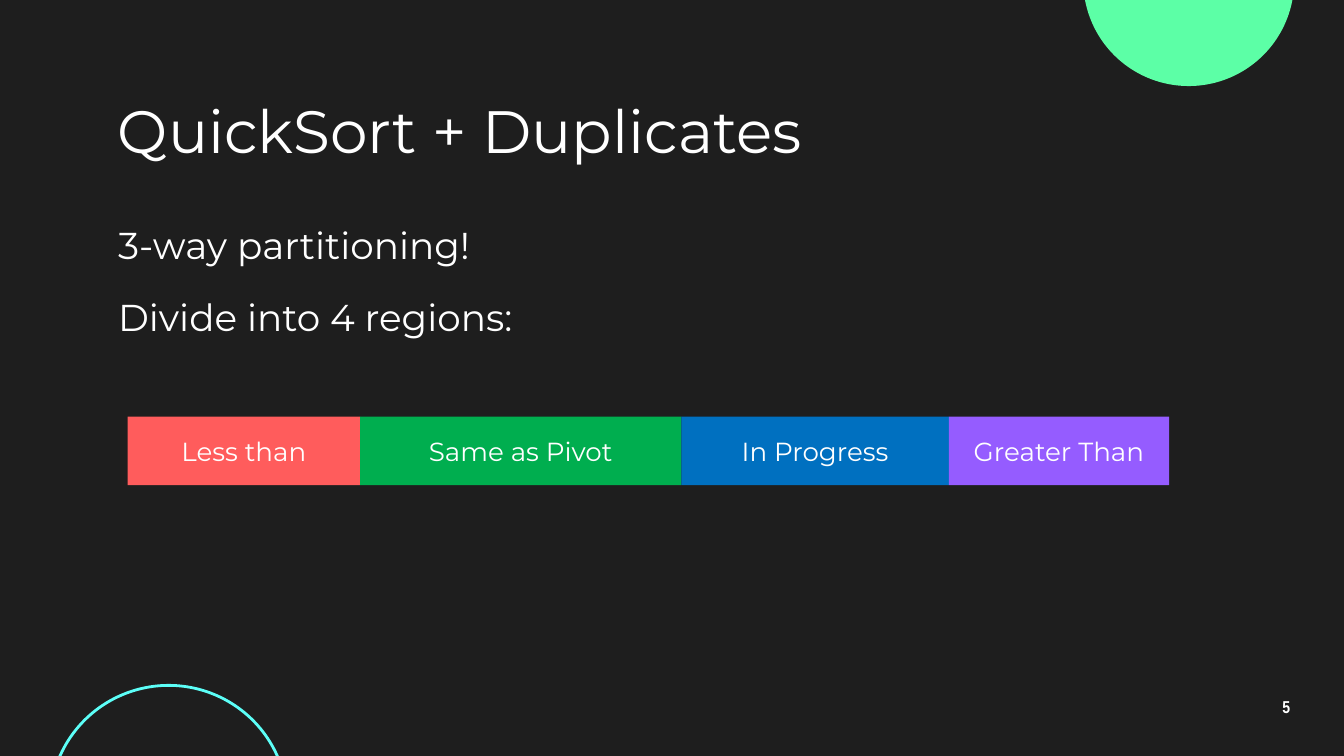
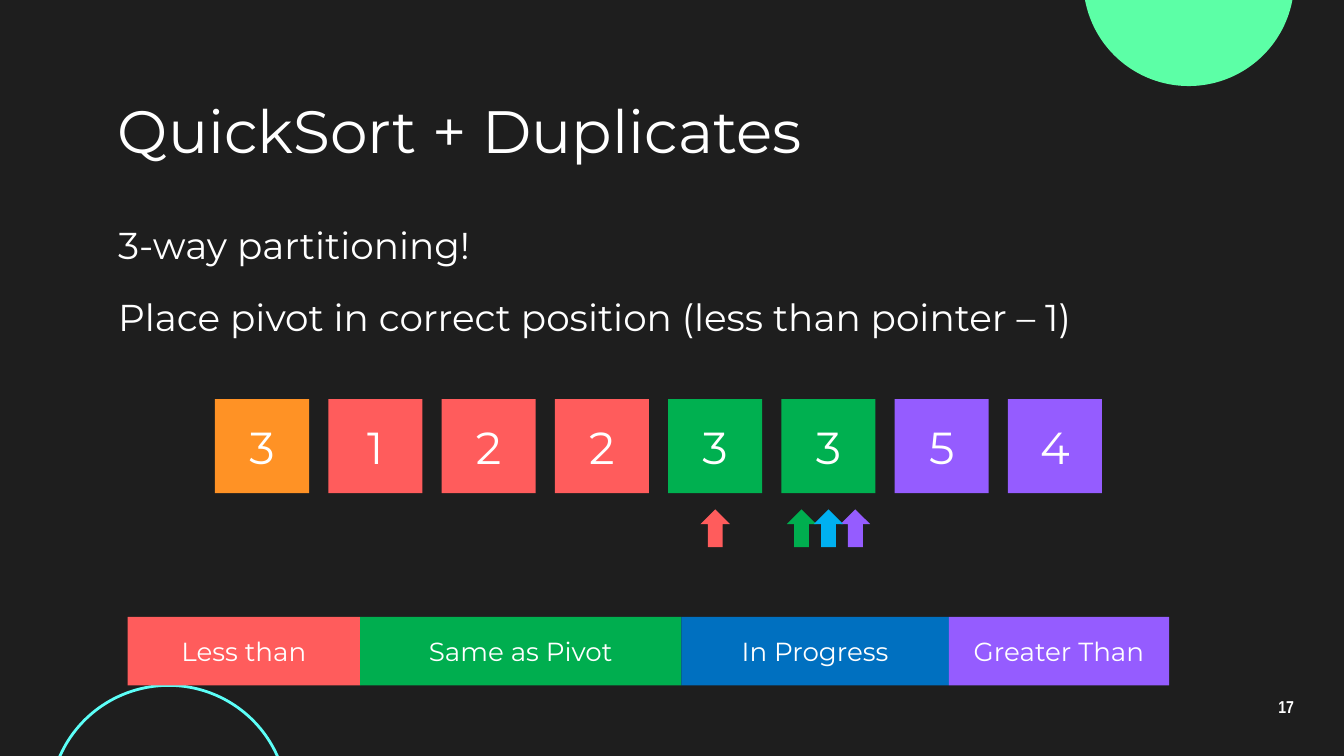
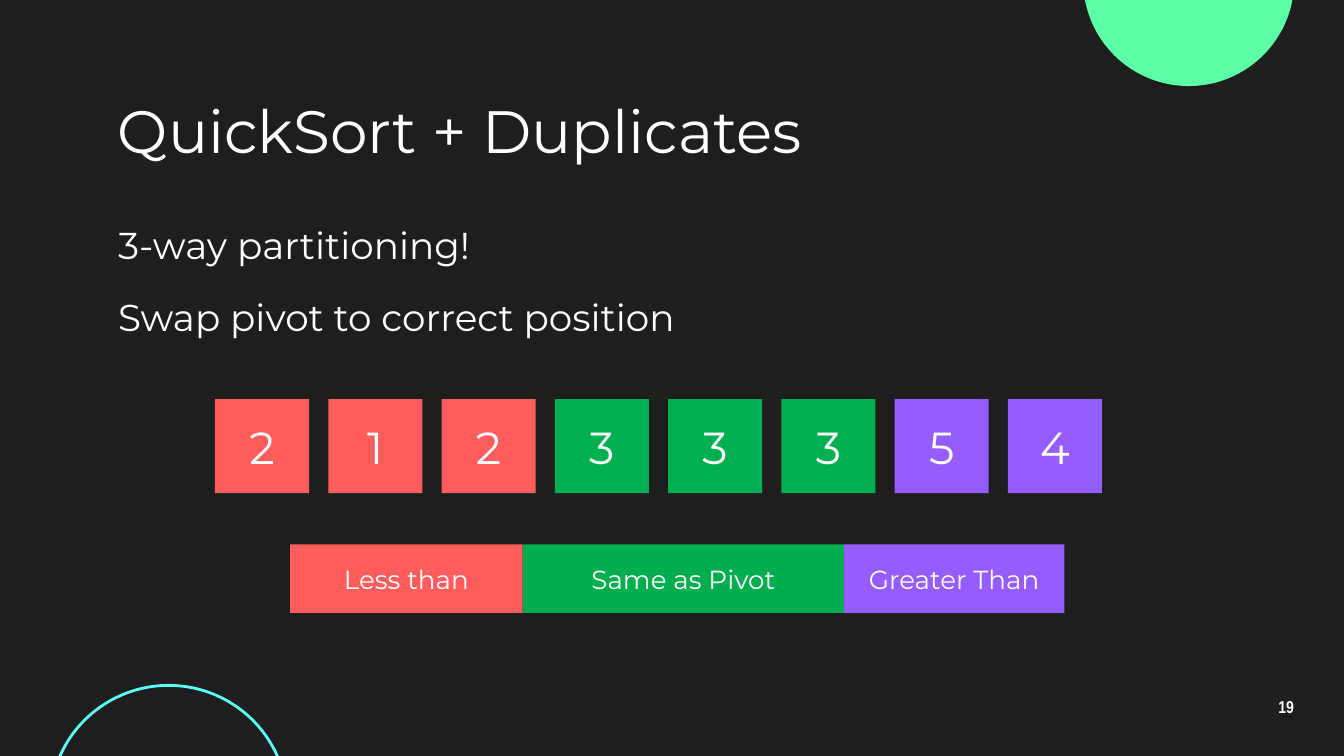
from pptx import Presentation
from pptx.dml.color import RGBColor
from pptx.enum.shapes import MSO_SHAPE
from pptx.enum.text import MSO_ANCHOR, PP_ALIGN
from pptx.util import Inches, Pt

RECTANGLE, OVAL, UP_ARROW = MSO_SHAPE.RECTANGLE, MSO_SHAPE.OVAL, MSO_SHAPE.UP_ARROW
TOP, MIDDLE = MSO_ANCHOR.TOP, MSO_ANCHOR.MIDDLE
LEFT, CENTER = PP_ALIGN.LEFT, PP_ALIGN.CENTER

# Colours
DARK = RGBColor(0x1E, 0x1E, 0x1E)
WHITE = RGBColor(0xFF, 0xFF, 0xFF)
MINT = RGBColor(0x5C, 0xFF, 0xA6)
CYAN = RGBColor(0x5C, 0xFF, 0xF8)
ORANGE = RGBColor(0xFF, 0x92, 0x25)
RED = RGBColor(0xFF, 0x5C, 0x5C)
GREEN = RGBColor(0x00, 0xAE, 0x4F)
CELL_GREEN = RGBColor(0x00, 0xB0, 0x50)
BLUE = RGBColor(0x00, 0x70, 0xC0)
LIGHT_BLUE = RGBColor(0x00, 0xB0, 0xF0)
PURPLE = RGBColor(0x95, 0x5C, 0xFF)

# Text formats
BODY_FONT = {"name": "Montserrat", "color": WHITE}
TITLE_STYLE = {**BODY_FONT, "size": Pt(32)}
LEAD_STYLE = {**BODY_FONT, "size": Pt(20)}
CELL_STYLE = {**BODY_FONT, "size": Pt(24)}
REGION_STYLE = {**BODY_FONT, "size": Pt(14)}
NUMBER_STYLE = {"name": "Arial Narrow", "color": WHITE, "size": Pt(9.2), "bold": True}

# Content
TITLE = "QuickSort + Duplicates"
LEAD = "3-way partitioning!"
LESS = ("Less than", 1.73, RED)
SAME = ("Same as Pivot", 2.39, GREEN)
IN_PROGRESS = ("In Progress", 1.99, BLUE)
GREATER = ("Greater Than", 1.64, PURPLE)
ALL_REGIONS = [LESS, SAME, IN_PROGRESS, GREATER]

SLIDES = [
    {
        "number": "5",
        "step": "Divide into 4 regions:",
        "regions": ALL_REGIONS,
        "regions_at": (0.95, 3.1),
    },
    {
        "number": "17",
        "step": "Place pivot in correct position (less than pointer – 1)",
        "step_width": 9.29,
        "regions": ALL_REGIONS,
        "regions_at": (0.95, 4.59),
        "cells": [("3", ORANGE), ("1", RED), ("2", RED), ("2", RED),
                  ("3", CELL_GREEN), ("3", CELL_GREEN), ("5", PURPLE), ("4", PURPLE)],
        # cell index, steps from the middle of the cell, colour
        "pointers": [(5, 1, PURPLE), (4, 0, RED), (5, -1, GREEN), (5, 0, LIGHT_BLUE)],
    },
    {
        "number": "19",
        "step": "Swap pivot to correct position",
        "regions": [LESS, SAME, GREATER],
        "regions_at": (2.16, 4.05),
        "cells": [("2", RED), ("1", RED), ("2", RED), ("3", CELL_GREEN),
                  ("3", CELL_GREEN), ("3", CELL_GREEN), ("5", PURPLE), ("4", PURPLE)],
    },
]

# Layout in inches
SLIDE_WIDTH = 10
SLIDE_HEIGHT = SLIDE_WIDTH * 9 / 16
ARRAY_LEFT, ARRAY_RIGHT, ARRAY_TOP = 1.6, 8.2, 2.97
CELL_SIZE, CELL_COUNT = 0.7, 8
CELL_PITCH = (ARRAY_RIGHT - ARRAY_LEFT - CELL_SIZE) / (CELL_COUNT - 1)
POINTER_TOP, POINTER_WIDTH, POINTER_HEIGHT, POINTER_STEP = 3.79, 0.22, 0.28, 0.2
REGION_HEIGHT = 0.51


def write(frame, text, style, align, anchor):
    frame.word_wrap = True
    frame.vertical_anchor = anchor
    paragraph = frame.paragraphs[0]
    paragraph.alignment = align
    run = paragraph.add_run()
    run.text = text
    for key, value in style.items():
        if key == "color":
            run.font.color.rgb = value
        else:
            setattr(run.font, key, value)
    return paragraph


def add_text(slide, box, text, style, align=LEFT, anchor=TOP):
    frame = slide.shapes.add_textbox(*map(Inches, box)).text_frame
    for side in ("left", "top", "right", "bottom"):
        setattr(frame, f"margin_{side}", Inches(0.1))
    return write(frame, text, style, align, anchor)


def add_figure(slide, preset, box, fill=None, outline=None):
    figure = slide.shapes.add_shape(preset, *map(Inches, box))
    figure.shadow.inherit = False
    for part, color in ((figure.fill, fill), (figure.line.fill, outline)):
        if color is None:
            part.background()
        else:
            part.solid()
            part.fore_color.rgb = color
    if outline is not None:
        figure.line.width = Pt(1.5)
    return figure


def add_label_box(slide, box, fill, text, style):
    figure = add_figure(slide, RECTANGLE, box, fill)
    write(figure.text_frame, text, style, CENTER, MIDDLE)


def add_base(prs, number):
    slide = prs.slides.add_slide(prs.slide_layouts[6])
    slide.background.fill.solid()
    slide.background.fill.fore_color.rgb = DARK
    add_figure(slide, OVAL, (8.06, -0.93, 1.57, 1.57), fill=MINT)
    add_figure(slide, OVAL, (0.37, 5.1, 1.77, 1.77), outline=CYAN)
    page = add_text(slide, (9.27, 5.1, 0.6, 0.34), number, NUMBER_STYLE, CENTER, MIDDLE)
    page.line_spacing = 0.9
    add_text(slide, (0.78, 0.71, 8.44, 0.51), TITLE, TITLE_STYLE, anchor=MIDDLE)
    add_text(slide, (0.78, 1.55, 6.59, 1.08), LEAD, LEAD_STYLE)
    return slide


def add_regions(slide, regions, left, top):
    for label, width, color in regions:
        add_label_box(slide, (left, top, width, REGION_HEIGHT), color, label, REGION_STYLE)
        left += width


def add_cells(slide, cells):
    for index, (value, color) in enumerate(cells):
        left = ARRAY_LEFT + index * CELL_PITCH
        add_label_box(slide, (left, ARRAY_TOP, CELL_SIZE, CELL_SIZE), color, value, CELL_STYLE)


def add_pointers(slide, pointers):
    for index, steps, color in pointers:
        middle = ARRAY_LEFT + index * CELL_PITCH + CELL_SIZE / 2 + steps * POINTER_STEP
        left = middle - POINTER_WIDTH / 2
        add_figure(slide, UP_ARROW, (left, POINTER_TOP, POINTER_WIDTH, POINTER_HEIGHT), color)


def main():
    prs = Presentation()
    prs.slide_width, prs.slide_height = Inches(SLIDE_WIDTH), Inches(SLIDE_HEIGHT)
    for content in SLIDES:
        slide = add_base(prs, content["number"])
        step_box = (0.78, 2.09, content.get("step_width", 6.59), 0.46)
        add_text(slide, step_box, content["step"], LEAD_STYLE)
        add_regions(slide, content["regions"], *content["regions_at"])
        add_cells(slide, content.get("cells", []))
        add_pointers(slide, content.get("pointers", []))
    prs.save("out.pptx")


if __name__ == "__main__":
    main()
